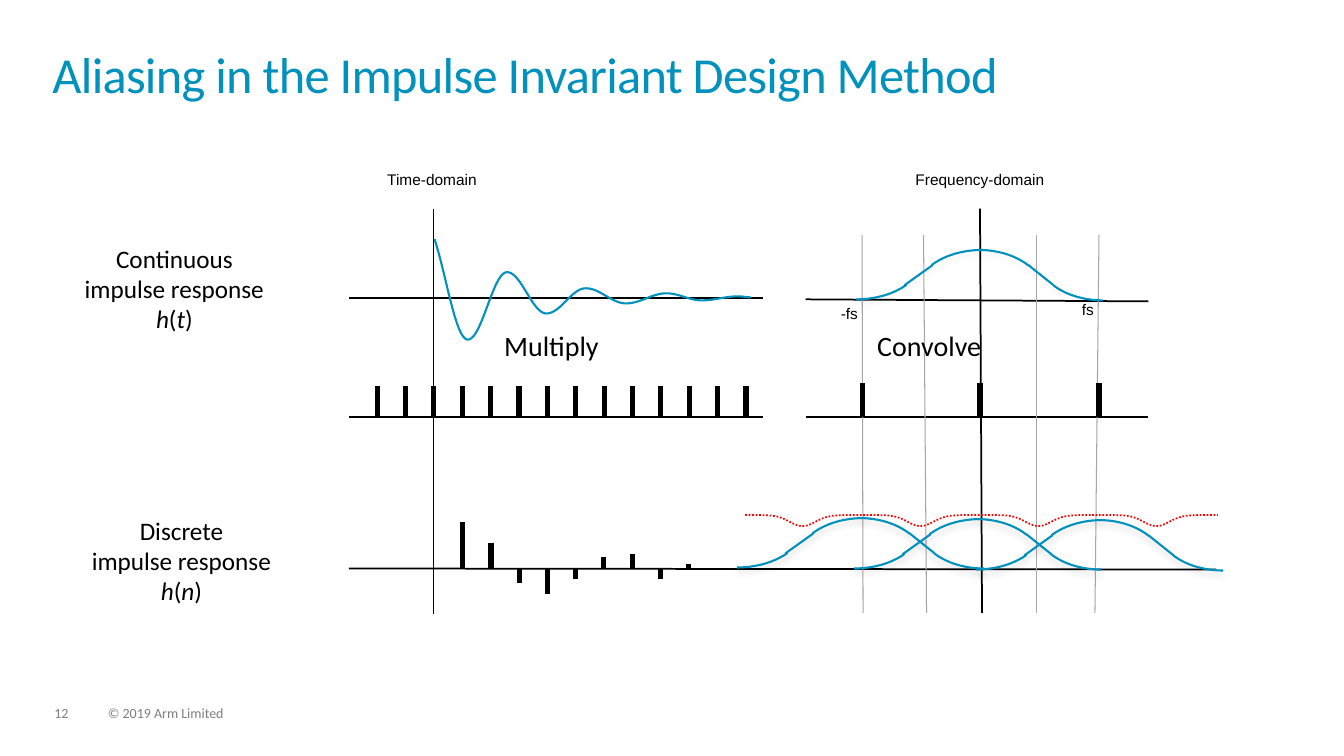
"""Builds the slide on aliasing in the impulse invariant design method."""
from dataclasses import dataclass
from math import cos, exp, pi

from lxml.etree import SubElement
from pptx import Presentation
from pptx.dml.color import RGBColor
from pptx.enum.dml import MSO_LINE
from pptx.enum.shapes import MSO_CONNECTOR, MSO_SHAPE
from pptx.enum.text import MSO_ANCHOR, MSO_AUTO_SIZE, PP_ALIGN
from pptx.oxml.ns import qn
from pptx.util import Cm, Pt


@dataclass(frozen=True)
class Theme:
    blue: str = "0091BD"
    black: str = "000000"
    grey: str = "A6A6A6"
    footer_grey: str = "7F7F7F"
    red: str = "FF0000"
    text_font: str = "Calibri"
    axis_font: str = "Arial"
    title_size: float = 36
    operation_size: float = 20
    label_size: float = 18
    axis_size: float = 11
    footer_size: float = 10
    axis_width: float = 1.25
    grid_width: float = 0.75
    curve_width: float = 1.5
    pulse_width: float = 3.63


def inches(value):
    return Cm(value * 2.54)


class SlideBuilder:
    def __init__(self, slide, theme):
        self.slide = slide
        self.theme = theme

    def style_frame(self, frame):
        frame.margin_left = frame.margin_right = 0
        frame.margin_top = frame.margin_bottom = 0
        frame.auto_size = MSO_AUTO_SIZE.NONE
        frame.vertical_anchor = MSO_ANCHOR.TOP

    def style_run(self, run, size, color, font):
        run.font.size = Pt(size)
        run.font.name = font
        run.font.color.rgb = RGBColor.from_string(color)

    def title(self, text):
        title = self.slide.shapes.title
        title.left, title.top = inches(0.52), inches(0.52)
        title.width, title.height = inches(12.28), inches(0.72)
        self.style_frame(title.text_frame)
        title.text_frame.text = text
        paragraph = title.text_frame.paragraphs[0]
        paragraph.alignment = PP_ALIGN.LEFT
        paragraph.line_spacing = 0.85
        run = paragraph.runs[0]
        self.style_run(run, self.theme.title_size, self.theme.blue, self.theme.text_font)
        run.font._element.set("spc", "-50")

    def text(self, left, top, width, height, lines, size, color=None, font=None,
             alignment=PP_ALIGN.LEFT, spacing=1.0):
        """Writes lines of text, with italics between asterisks."""
        box = self.slide.shapes.add_textbox(*map(inches, (left, top, width, height)))
        frame = box.text_frame
        self.style_frame(frame)
        frame.word_wrap = False
        for index, line in enumerate(lines):
            paragraph = frame.add_paragraph() if index else frame.paragraphs[0]
            paragraph.alignment = alignment
            paragraph.line_spacing = spacing
            for position, piece in enumerate(line.split("*")):
                if piece:
                    run = paragraph.add_run()
                    run.text = piece
                    run.font.italic = position % 2 == 1
                    self.style_run(run, size, color or self.theme.black,
                                   font or self.theme.text_font)

    def style_line(self, shape, color, width):
        shape.line.color.rgb = RGBColor.from_string(color)
        shape.line.width = Pt(width)

    def soft_shadow(self, effects, opacity):
        shadow = SubElement(effects, qn("a:outerShdw"), blurRad=str(Pt(5.2)),
                            dist=str(Pt(3)), dir="5400000", rotWithShape="0")
        color = SubElement(shadow, qn("a:srgbClr"), val=self.theme.black)
        SubElement(color, qn("a:alpha"), val=str(opacity * 1000))

    def line(self, start, end, color, width, shadow=0):
        connector = self.slide.shapes.add_connector(
            MSO_CONNECTOR.STRAIGHT, *map(inches, (*start, *end)))
        self.style_line(connector, color, width)
        effects = SubElement(connector._element.spPr, qn("a:effectLst"))
        if shadow:
            self.soft_shadow(effects, shadow)

    def arc(self, left, top, width, height, end, foot, mirrored, shadow):
        arc = self.slide.shapes.add_shape(
            MSO_SHAPE.ARC, *map(inches, (left, top, width, height)))
        arc.adjustments[0], arc.adjustments[1] = 162, end
        arc.rotation = 180 if foot else 0
        if mirrored:
            arc._element.spPr.find(qn("a:xfrm")).set("flipH", "1")
        arc.fill.background()
        self.style_line(arc, self.theme.blue, self.theme.curve_width)
        arc.shadow.inherit = False
        self.soft_shadow(arc._element.spPr.find(qn("a:effectLst")), shadow)

    def bell(self, shift, top, shadow):
        """Draws one spectrum from two crowns, two flanks and two feet."""
        for left, drop, width, height, end, foot, mirrored in (
                (9.06, 0, 1.36, 0.93, 196.72, False, True),
                (7.81, -0.4, 1.36, 0.89, 197.37, True, True),
                (9.05, 0, 1.32, 0.93, 196.72, False, False),
                (10.28, -0.39, 1.32, 0.89, 197.37, True, False)):
            self.arc(left + shift, top + drop, width, height, end, foot, mirrored, shadow)
        for inner, outer in ((9.25, 8.97), (10.2, 10.45)):
            self.line((inner + shift, top + 0.15), (outer + shift, top + 0.35),
                      self.theme.blue, self.theme.curve_width, shadow)

    def curve(self, points, color, width, dash=None):
        scaled = [(inches(x), inches(y)) for x, y in points]
        builder = self.slide.shapes.build_freeform(*scaled[0])
        builder.add_line_segments(scaled[1:], close=False)
        shape = builder.convert_to_shape()
        shape.fill.background()
        self.style_line(shape, color, width)
        shape.line.dash_style = dash
        shape.shadow.inherit = False


def damped_wave():
    """Joins the extremes of the impulse response with half cosines."""
    extremes = ((4.2, 2.2), (4.64, 3.37), (5.03, 2.7), (5.42, 3.11), (5.81, 2.86),
                (6.21, 3.01), (6.61, 2.91), (6.96, 2.98), (7.32, 2.94), (7.45, 2.95))
    points = []
    for (x1, y1), (x2, y2) in zip(extremes, extremes[1:]):
        for step in range(20):
            part = step / 20
            points.append((x1 + (x2 - x1) * part, y1 + (y2 - y1) * (1 - cos(pi * part)) / 2))
    return [point for point in points if point[0] >= 4.3] + [extremes[-1]]


def ripple(left):
    offsets = [1.18 * step / 40 for step in range(41)]
    return [(left + x, 5.11 + 0.11 * exp(-((x - 0.57) / 0.18) ** 2)) for x in offsets]


def main():
    presentation = Presentation()
    presentation.slide_width, presentation.slide_height = inches(13.33), inches(7.5)
    theme = Theme()
    builder = SlideBuilder(presentation.slides.add_slide(presentation.slide_layouts[5]), theme)

    builder.title("Aliasing in the Impulse Invariant Design Method")
    for left, width, text in ((0.54, 0.34, "12"), (1.07, 5.07, "© 2019 Arm Limited")):
        builder.text(left, 7.01, width, 0.15, [text], theme.footer_size,
                     theme.footer_grey, spacing=0.9)
    for left, top, kind, variable in ((0.73, 2.41, "Continuous", "t"),
                                      (0.8, 5.11, "Discrete", "n")):
        builder.text(left, top, 2, 0.91, [kind, "impulse response", f"*h*(*{variable}*)"],
                     theme.label_size, alignment=PP_ALIGN.CENTER)

    for start, end in (((7.99, 2.97), (11.39, 2.99)), ((7.99, 4.14), (11.39, 4.14)),
                       ((4.3, 2.07), (4.3, 6.09)), ((9.72, 2.07), (9.74, 6.08)),
                       ((3.46, 2.96), (7.57, 2.96)), ((3.46, 5.64), (12.06, 5.65)),
                       ((3.46, 4.14), (7.57, 4.14))):
        builder.line(start, end, theme.black, theme.axis_width)
    for top_x, bottom_x in ((9.16, 9.19), (8.55, 8.56), (10.28, 10.28), (10.9, 10.86)):
        builder.line((top_x, 2.33), (bottom_x, 6.08), theme.grey, theme.grid_width)
    for left, top, width, text in ((3.84, 1.69, 0.9, "Time-domain"),
                                   (9.08, 1.69, 1.29, "Frequency-domain"),
                                   (8.34, 3.02, 0.17, "-fs"), (10.73, 2.98, 0.12, "fs")):
        builder.text(left, top, width, 0.19, [text], theme.axis_size, font=theme.axis_font)

    pulses = [(x, 3.8, 4.14) for x in (8.55, 9.72, 10.9)]
    pulses += [(3.74 + 0.2815 * index, 3.83, 4.14) for index in range(14)]
    samples = (5.18, 5.39, 5.78, 5.89, 5.74, 5.53, 5.5, 5.74, 5.6)
    pulses += [(4.59 + 0.28 * index, tip, 5.64) for index, tip in enumerate(samples)]
    for x, tip, base in pulses:
        builder.line((x, tip), (x, base), theme.black, theme.pulse_width)

    builder.curve(damped_wave(), theme.blue, theme.curve_width)
    for shift, top, shadow in ((0, 2.48, 6), (-1.18, 5.14, 17), (-0.02, 5.15, 17),
                               (1.19, 5.16, 17)):
        builder.bell(shift, top, shadow)
    for index in range(4):
        builder.curve(ripple(7.39 + 1.17 * index), theme.red, theme.axis_width,
                      MSO_LINE.ROUND_DOT)
    for left, width, text in ((5, 0.94, "Multiply"), (8.7, 1.03, "Convolve")):
        builder.text(left, 3.26, width, 0.34, [text], theme.operation_size)

    presentation.save("out.pptx")


if __name__ == "__main__":
    main()
